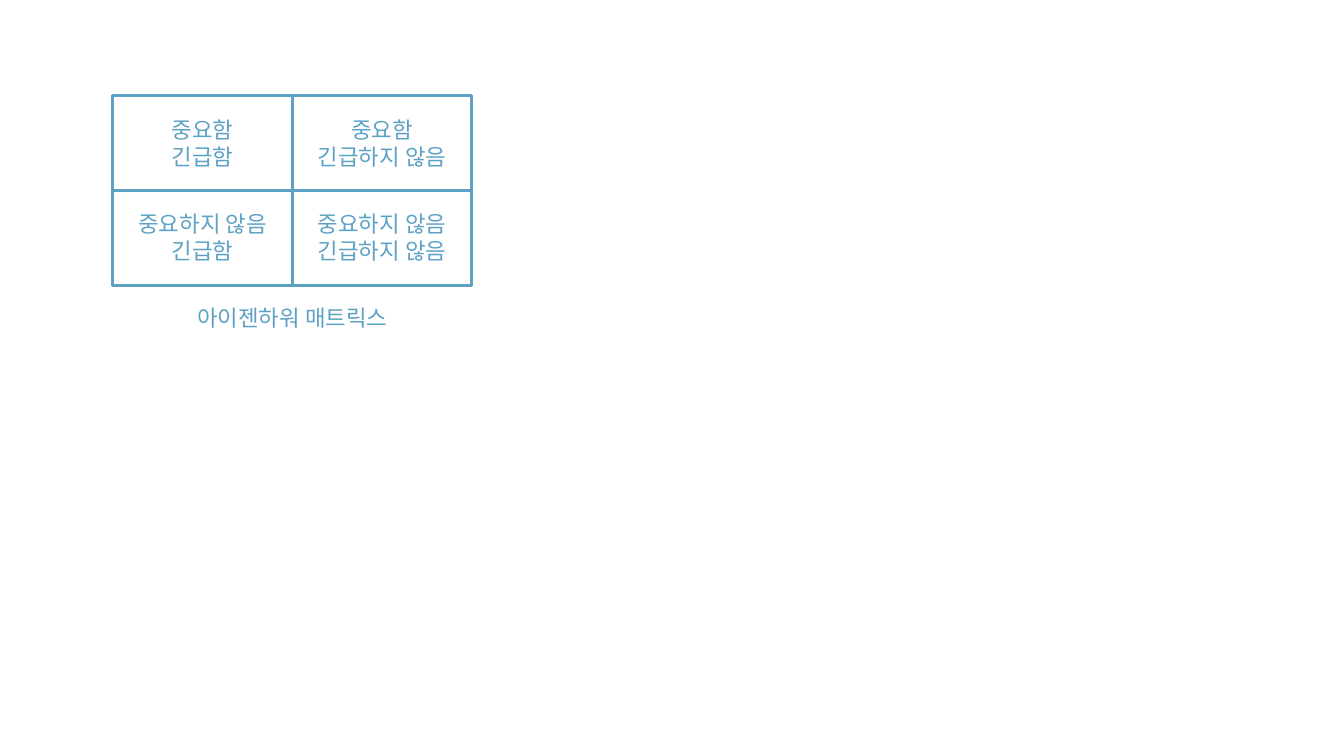
from pptx import Presentation
from pptx.dml.color import RGBColor
from pptx.enum.shapes import MSO_SHAPE
from pptx.enum.text import MSO_AUTO_SIZE, PP_ALIGN
from pptx.util import Pt

# Content: rows of the matrix, each cell a list of lines
MATRIX = [
    [["중요함", "긴급함"], ["중요함", "긴급하지 않음"]],
    [["중요하지 않음", "긴급함"], ["중요하지 않음", "긴급하지 않음"]],
]
CAPTION = ["아이젠하워 매트릭스"]

# Style
BLUE = RGBColor(0x5D, 0xA2, 0xC5)
FONT = "Roboto"
SIZE = 16
RECT = MSO_SHAPE.RECTANGLE
GROW = MSO_AUTO_SIZE.SHAPE_TO_FIT_TEXT
CENTER = PP_ALIGN.CENTER

# Layout in points
LEFT, TOP = 80.64, 68.4
CELL_W, CELL_H = 128.16, 67.68
TEXT_H = 46.08
CAP_W, CAP_H, CAP_GAP = 179.28, 26.64, 10.08


def add_box(slide, x, y):
    box = slide.shapes.add_shape(RECT, Pt(x), Pt(y), Pt(CELL_W), Pt(CELL_H))
    box.shadow.inherit = False
    box.fill.background()
    box.line.color.rgb = BLUE
    box.line.width = Pt(2)


def add_text(slide, lines, x, y, width, height):
    box = slide.shapes.add_textbox(Pt(x), Pt(y), Pt(width), Pt(height))
    frame = box.text_frame
    frame.word_wrap = True
    frame.auto_size = GROW
    for i, line in enumerate(lines):
        para = frame.add_paragraph() if i else frame.paragraphs[0]
        para.alignment = CENTER
        run = para.add_run()
        run.text = line
        run.font.name = FONT
        run.font.size = Pt(SIZE)
        run.font.color.rgb = BLUE


def main():
    deck = Presentation()
    deck.slide_width, deck.slide_height = Pt(960), Pt(540)
    slide = deck.slides.add_slide(deck.slide_layouts[6])

    # Matrix cells
    for r, row in enumerate(MATRIX):
        for c, lines in enumerate(row):
            x, y = LEFT + c * CELL_W, TOP + r * CELL_H
            add_box(slide, x, y)
            add_text(slide, lines, x, y + (CELL_H - TEXT_H) / 2, CELL_W, TEXT_H)

    # Caption centred below the matrix
    cap_x = LEFT + (len(MATRIX[0]) * CELL_W - CAP_W) / 2
    cap_y = TOP + len(MATRIX) * CELL_H + CAP_GAP
    add_text(slide, CAPTION, cap_x, cap_y, CAP_W, CAP_H)

    deck.save("out.pptx")


if __name__ == "__main__":
    main()
